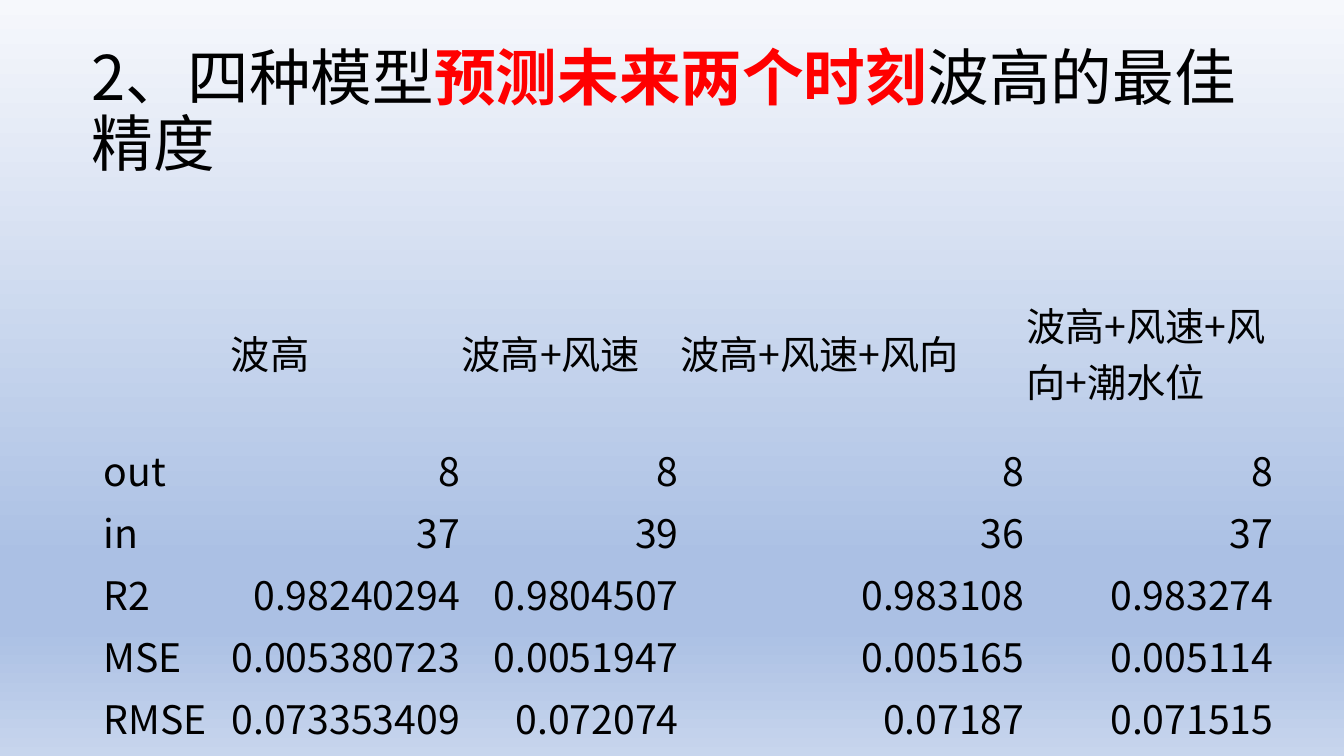
from typing import NamedTuple

from lxml import etree
from pptx import Presentation
from pptx.dml.color import RGBColor
from pptx.enum import text
from pptx.oxml import ns
from pptx.util import Inches, Pt

FONT = "Noto Sans CJK SC"
BLACK = RGBColor(0x00, 0x00, 0x00)
RED = RGBColor(0xFF, 0x00, 0x00)
NO_STYLE_NO_GRID = "{2D5ABB26-0587-4C30-8999-92F81FD0307C}"


class Stop(NamedTuple):
    percent: int
    color: RGBColor


class Part(NamedTuple):
    words: str
    color: RGBColor = BLACK
    bold: bool = False


class Metric(NamedTuple):
    name: str
    values: tuple[str, ...]


STOPS = [
    Stop(0, RGBColor(0xF6, 0xF8, 0xFC)),
    Stop(74, RGBColor(0xAB, 0xC0, 0xE4)),
    Stop(83, RGBColor(0xAB, 0xC0, 0xE4)),
    Stop(100, RGBColor(0xC7, 0xD5, 0xED)),
]
TITLE = [
    Part("2、四种模型"),
    Part("预测未来两个时刻", RED, True),
    Part("波高的最佳精度"),
]
ROWS = [
    Metric("", ("波高", "波高+风速", "波高+风速+风向", "波高+风速+风向+潮水位")),
    Metric("out", ("8", "8", "8", "8")),
    Metric("in", ("37", "39", "36", "37")),
    Metric("R2", ("0.98240294", "0.9804507", "0.983108", "0.983274")),
    Metric("MSE", ("0.005380723", "0.0051947", "0.005165", "0.005114")),
    Metric("RMSE", ("0.073353409", "0.072074", "0.07187", "0.071515")),
]
COL_WIDTHS = (1.26, 2.29, 2.17, 3.43, 2.47)
ROW_HEIGHT = 0.615


def add_run(p, part: Part, size: float) -> None:
    r = p.add_run()
    r.text = part.words
    r.font.size = Pt(size)
    r.font.bold = part.bold
    r.font.color.rgb = part.color
    r.font.name = FONT
    ea = etree.SubElement(r.font._element, ns.qn("a:ea"))
    ea.set("typeface", FONT)


def paint_background(s) -> None:
    fill = s.background.fill
    fill.gradient()
    fill.gradient_angle = 270
    stop_list = s.background._cSld.find(".//" + ns.qn("a:gsLst"))
    for old in list(stop_list):
        stop_list.remove(old)
    for stop in STOPS:
        gs = etree.SubElement(stop_list, ns.qn("a:gs"), pos=str(stop.percent * 1000))
        etree.SubElement(gs, ns.qn("a:srgbClr"), val=str(stop.color))


def write_title(s) -> None:
    sp = s.shapes.title
    sp.left, sp.top, sp.width, sp.height = map(Inches, (0.81, 0.4, 12.04, 1.45))
    tf = sp.text_frame
    tf.word_wrap = True
    tf.auto_size = text.MSO_AUTO_SIZE.NONE
    tf.vertical_anchor = text.MSO_ANCHOR.MIDDLE
    p = tf.paragraphs[0]
    p.alignment = text.PP_ALIGN.LEFT
    p.line_spacing = 0.9
    for part in TITLE:
        add_run(p, part, 44)


def fill_cell(cell, words: str, align: text.PP_ALIGN) -> None:
    cell.fill.background()
    cell.vertical_anchor = text.MSO_ANCHOR.MIDDLE
    cell.margin_left = cell.margin_right = cell.margin_top = Inches(0.01)
    cell.margin_bottom = 0
    p = cell.text_frame.paragraphs[0]
    p.alignment = align
    if words:
        add_run(p, Part(words), 28)


def add_metrics_table(s) -> None:
    n_rows = len(ROWS) + 1
    frame = s.shapes.add_table(
        n_rows, len(COL_WIDTHS), Inches(1.02), Inches(2.03),
        Inches(sum(COL_WIDTHS)), Inches(n_rows * ROW_HEIGHT))
    table = frame.table
    table.first_row = table.horz_banding = False
    table._tbl.tblPr.find(ns.qn("a:tableStyleId")).text = NO_STYLE_NO_GRID
    for column, width in zip(table.columns, COL_WIDTHS):
        column.width = Inches(width)
    for row in table.rows:
        row.height = Inches(ROW_HEIGHT)
    table.cell(0, 0).merge(table.cell(0, len(COL_WIDTHS) - 1))
    table.cell(0, 0).fill.background()
    for i, metric in enumerate(ROWS, 1):
        for j, words in enumerate((metric.name, *metric.values)):
            is_number = i > 1 and j > 0
            align = text.PP_ALIGN.RIGHT if is_number else text.PP_ALIGN.LEFT
            fill_cell(table.cell(i, j), words, align)


def main() -> None:
    prs = Presentation()
    prs.slide_width, prs.slide_height = Inches(13.33), Inches(7.5)
    s = prs.slides.add_slide(prs.slide_layouts[5])
    paint_background(s)
    write_title(s)
    add_metrics_table(s)
    prs.save("out.pptx")


if __name__ == "__main__":
    main()
